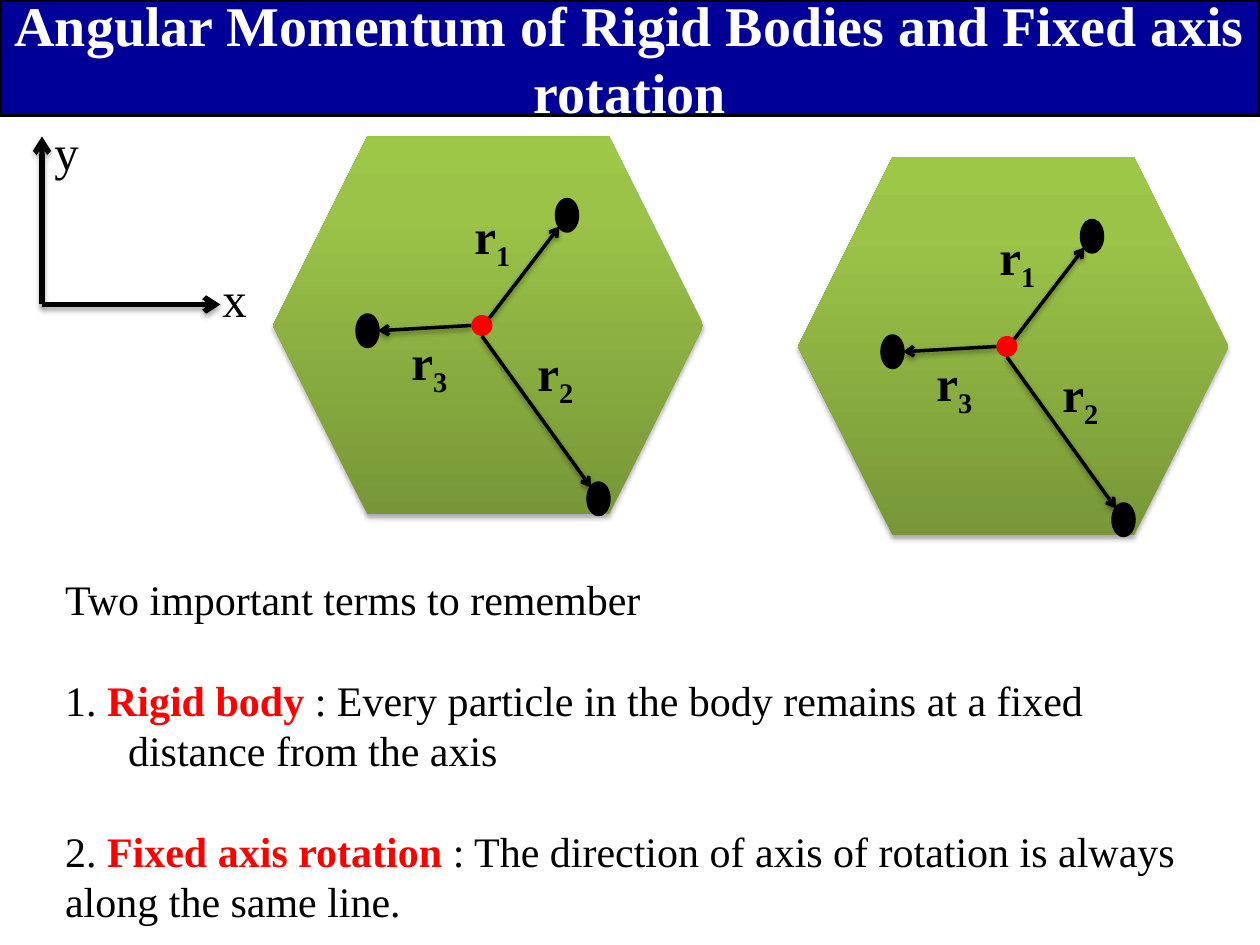
"""Build the slide on angular momentum of rigid bodies."""
import copy
import dataclasses
import math

import lxml.etree
import pptx
import pptx.dml.color
import pptx.enum.shapes
import pptx.enum.text
import pptx.oxml.ns
import pptx.slide
import pptx.util

Pt = pptx.util.Pt
RGBColor = pptx.dml.color.RGBColor
MSO_SHAPE = pptx.enum.shapes.MSO_SHAPE
qn = pptx.oxml.ns.qn

BLACK = RGBColor(0x00, 0x00, 0x00)
WHITE = RGBColor(0xFF, 0xFF, 0xFF)
RED = RGBColor(0xFF, 0x00, 0x00)
NAVY = RGBColor(0x00, 0x00, 0x99)
GREENS = (
    (0, RGBColor(0x77, 0x97, 0x37)),
    (0.8, RGBColor(0x9B, 0xC3, 0x48)),
    (1, RGBColor(0x9D, 0xC7, 0x46)),
)
PIVOT_SIZE = 12, 12
MASS_SIZE = 12, 18


def add_run(paragraph, text, *, font="Times New Roman", size=28, color=BLACK, bold=False, baseline=0):
    run = paragraph.add_run()
    run.text = text
    run.font.name = font
    run.font.size = Pt(size)
    run.font.bold = bold
    run.font.color.rgb = color
    if baseline:
        run.font._element.set("baseline", str(baseline * 1000))


def rim_point(center, size, degrees):
    angle = math.radians(degrees)
    return (
        center[0] + size[0] / 2 * math.cos(angle),
        center[1] + size[1] / 2 * math.sin(angle),
    )


def set_shadow(shape, opacity, distance):
    properties = shape._element.spPr
    effects = properties.find(qn("a:effectLst"))
    if effects is None:
        effects = lxml.etree.SubElement(properties, qn("a:effectLst"))
    shadow = lxml.etree.SubElement(
        effects, qn("a:outerShdw"), blurRad=str(Pt(3.1)), dist=str(Pt(distance)),
        dir="5400000", rotWithShape="0",
    )
    color = lxml.etree.SubElement(shadow, qn("a:srgbClr"), val=str(BLACK))
    lxml.etree.SubElement(color, qn("a:alpha"), val=str(opacity * 1000))


@dataclasses.dataclass
class SlideBuilder:
    slide: pptx.slide.Slide
    title_size: int = 32
    body_size: int = 24
    line_height: float = 28.8

    def place(self, shape, left, top, width, height):
        shape.left, shape.top, shape.width, shape.height = map(Pt, (left, top, width, height))
        shape.text_frame.auto_size = pptx.enum.text.MSO_AUTO_SIZE.NONE

    def title(self, text, *box):
        shape = self.slide.shapes.title
        self.place(shape, *box)
        shape.fill.solid()
        shape.fill.fore_color.rgb = NAVY
        shape.line.color.rgb = BLACK
        shape.line.width = Pt(2)
        shape.text_frame.vertical_anchor = pptx.enum.text.MSO_ANCHOR.MIDDLE
        paragraph = shape.text_frame.paragraphs[0]
        paragraph.alignment = pptx.enum.text.PP_ALIGN.CENTER
        add_run(paragraph, text, size=self.title_size, color=WHITE, bold=True)

    def body(self, entries, *box):
        shape = self.slide.placeholders[1]
        self.place(shape, *box)
        for index, (indent, parts) in enumerate(entries):
            frame = shape.text_frame
            paragraph = frame.add_paragraph() if index else frame.paragraphs[0]
            paragraph.space_before = Pt(self.line_height if index else 0)
            properties = paragraph._p.get_or_add_pPr()
            properties.set("marL", str(Pt(indent)))
            properties.set("indent", str(Pt(-indent)))
            lxml.etree.SubElement(properties, qn("a:buNone"))
            for text, is_term in parts:
                add_run(paragraph, text, size=self.body_size,
                        color=RED if is_term else BLACK, bold=is_term)

    def label(self, shapes, text, left, top, width, subscript="", bold=False):
        box = shapes.add_textbox(Pt(left), Pt(top), Pt(width), Pt(41))
        box.text_frame.word_wrap = False
        box.text_frame.auto_size = pptx.enum.text.MSO_AUTO_SIZE.SHAPE_TO_FIT_TEXT
        paragraph = box.text_frame.paragraphs[0]
        add_run(paragraph, text, bold=bold)
        if subscript:
            add_run(paragraph, subscript, bold=bold, baseline=-25)

    def arrow(self, shapes, start, end, width=2.0, opacity=38, distance=1.6):
        connector = shapes.add_connector(
            pptx.enum.shapes.MSO_CONNECTOR.STRAIGHT, *map(Pt, (*start, *end)))
        connector.line.color.rgb = BLACK
        connector.line.width = Pt(width)
        line = connector._element.spPr.find(qn("a:ln"))
        lxml.etree.SubElement(line, qn("a:tailEnd"), type="arrow")
        set_shadow(connector, opacity, distance)

    def dot(self, shapes, center, size, color, outlined):
        left, top = center[0] - size[0] / 2, center[1] - size[1] / 2
        shape = shapes.add_shape(MSO_SHAPE.OVAL, *map(Pt, (left, top, *size)))
        shape.shadow.inherit = False
        shape.fill.solid()
        shape.fill.fore_color.rgb = color
        if outlined:
            shape.line.color.rgb = BLACK
            shape.line.width = Pt(2)
        else:
            shape.line.fill.background()

    def hexagon(self, shapes, left, top):
        shape = shapes.add_shape(MSO_SHAPE.HEXAGON, *map(Pt, (left, top, 246, 216)))
        shape.line.fill.background()
        shape.fill.gradient()
        shape.fill.gradient_angle = 90
        stop_list = shape._element.spPr.find(qn("a:gradFill")).find(qn("a:gsLst"))
        stop_list.append(copy.deepcopy(stop_list[-1]))
        for stop, (position, color) in zip(shape.fill.gradient_stops, GREENS):
            stop.position = position
            stop.color.rgb = color
        shape.shadow.inherit = False
        set_shadow(shape, 35, 1.8)

    def rigid_body(self, shapes, left, top):
        pivot = left + 119.4, top + 108
        masses = (
            ((168, 45), -45, 135, (108, 36)),
            ((186, 207), 90, 225, (144, 114)),
            ((54, 111), 180, 0, (72, 108)),
        )
        self.hexagon(shapes, left, top)
        self.dot(shapes, pivot, PIVOT_SIZE, RED, False)
        for number, (offset, start, end, label) in enumerate(masses, 1):
            center = left + offset[0], top + offset[1]
            self.dot(shapes, center, MASS_SIZE, BLACK, True)
            self.arrow(shapes, rim_point(pivot, PIVOT_SIZE, start),
                       rim_point(center, MASS_SIZE, end))
            self.label(shapes, "r", left + label[0], top + label[1], 37, str(number), True)

    def axes(self, origin):
        shapes = self.slide.shapes
        for end in ((24, 78), (126, 174)):
            self.arrow(shapes, origin, end, 3, 35, 1.8)
        self.label(shapes, "x", 120, 150, 29)
        self.label(shapes, "y", 24, 66, 29)


def main():
    presentation = pptx.Presentation()
    presentation.slide_width, presentation.slide_height = Pt(720), Pt(540)
    slide = presentation.slides.add_slide(presentation.slide_layouts[1])
    builder = SlideBuilder(slide)
    builder.title("Angular Momentum of Rigid Bodies and Fixed axis rotation", 0, 0, 720, 66)
    builder.axes((24, 174))
    builder.rigid_body(slide.shapes, 156, 78)
    builder.rigid_body(slide.shapes.add_group_shape().shapes, 456, 90)
    builder.body(
        (
            (0, (("Two important terms to remember", False),)),
            (36, (("1. ", False), ("Rigid body ", True),
                  (": Every particle in the body remains at a fixed distance from the axis", False))),
            (0, (("2. ", False), ("Fixed axis rotation ", True),
                 (": The direction of axis of rotation is always along the same line.", False))),
        ),
        30, 324, 666, 211,
    )
    presentation.save("out.pptx")


if __name__ == "__main__":
    main()
